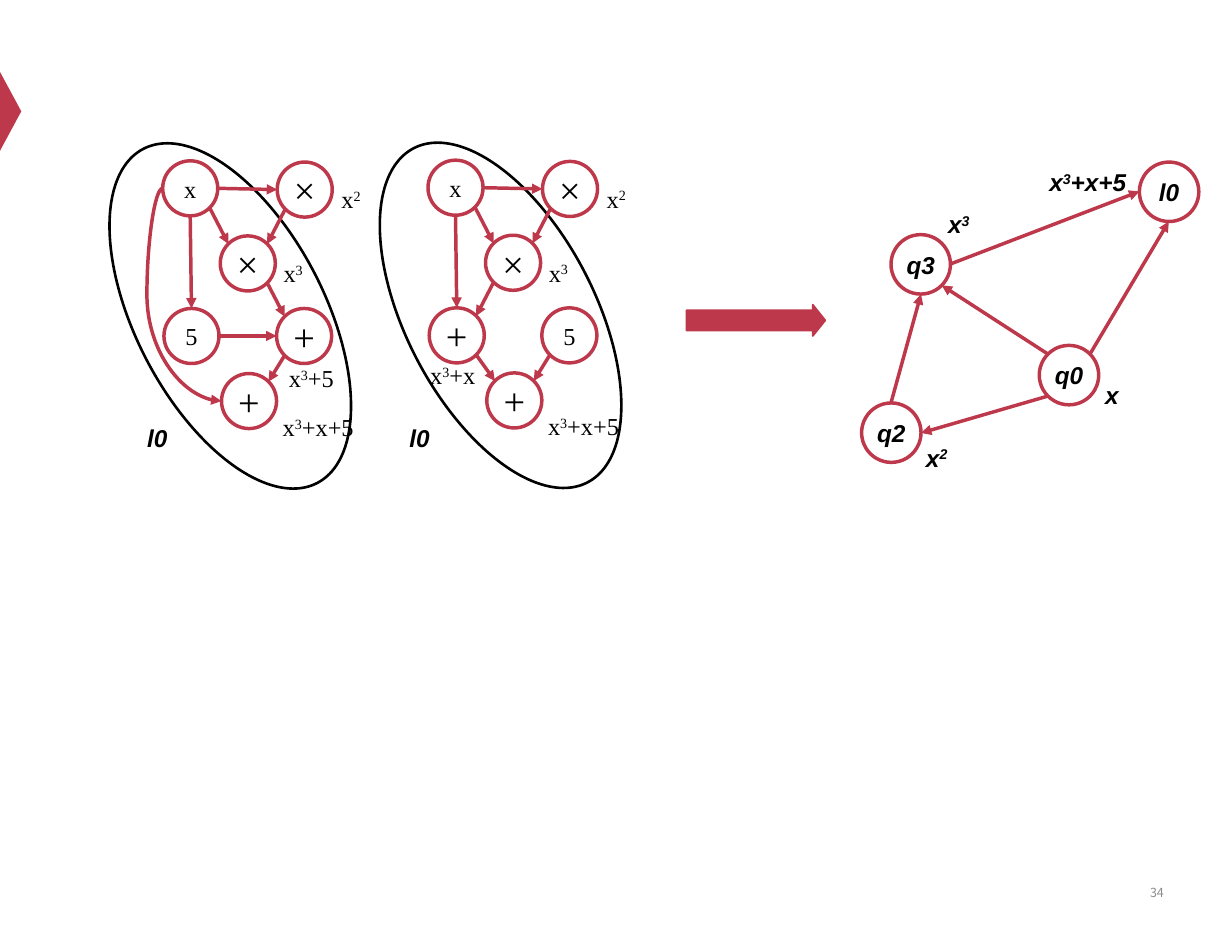
"""Draw two expression graphs and the graph of quantities they reduce to."""
from dataclasses import dataclass
from math import cos, radians, sin
from typing import NamedTuple

from lxml import etree
from pptx import Presentation
from pptx.dml.color import RGBColor
from pptx.enum.shapes import MSO_CONNECTOR, MSO_SHAPE
from pptx.enum.text import MSO_ANCHOR, PP_ALIGN
from pptx.oxml.ns import qn
from pptx.util import Emu, Pt

PX = 9144
OVAL, WEDGE, ARROW = MSO_SHAPE.OVAL, MSO_SHAPE.ISOSCELES_TRIANGLE, MSO_SHAPE.DOWN_ARROW
LINE, CURVE = MSO_CONNECTOR.STRAIGHT, MSO_CONNECTOR.CURVE
MID, TOP = MSO_ANCHOR.MIDDLE, MSO_ANCHOR.TOP
CENTER, RIGHT = PP_ALIGN.CENTER, PP_ALIGN.RIGHT
E, SE, S, SW, W, NW, N, NE = range(0, 360, 45)


class Type(NamedTuple):
    face: str
    size: float
    color: RGBColor
    strong: bool = False


@dataclass(frozen=True)
class Theme:
    red: RGBColor = RGBColor(0xBE, 0x38, 0x4B)
    black: RGBColor = RGBColor(0, 0, 0)
    white: RGBColor = RGBColor(255, 255, 255)
    gray: RGBColor = RGBColor(0x8C, 0x8C, 0x8C)
    thin: float = 2
    rim: float = 3
    thick: float = 4

    @property
    def serif(self) -> Type:
        return Type("Times New Roman", 28, self.black)

    @property
    def sign(self) -> Type:
        return self.serif._replace(size=44)

    @property
    def bold(self) -> Type:
        return Type("Arial", 28, self.black, True)

    @property
    def page(self) -> Type:
        return Type("Noto Sans CJK SC", 14.4, self.gray)


THEME = Theme()


class Box(NamedTuple):
    x: int
    y: int
    w: int
    h: int


class Node(NamedTuple):
    x: int
    y: int
    text: str


class Edge(NamedTuple):
    start: str
    out: int
    end: str
    into: int


class Label(NamedTuple):
    x: int
    y: int
    w: int
    text: str


@dataclass(frozen=True)
class Graph:
    x: int
    y: int
    ring: int
    style: Type
    nodes: dict[str, Node]
    edges: list[Edge]
    labels: list[Label]

    def site(self, name: str, angle: int) -> tuple[int, int]:
        node, half = self.nodes[name], self.ring / 2
        return (round(self.x + node.x + half + half * cos(radians(angle))),
                round(self.y + node.y + half + half * sin(radians(angle))))


SPOTS = {"a": (0, 0), "b": (183, 2), "c": (92, 120),
         "d": (2, 236), "e": (182, 236), "f": (94, 340)}
SHARED = [Edge("a", E, "b", W), Edge("b", SW, "c", NE), Edge("a", SE, "c", NW),
          Edge("a", S, "d", N), Edge("e", SW, "f", NE)]
POWERS = [Label(254, 33, 94, "x|2"), Label(165, 151, 87, "x|3"),
          Label(163, 397, 171, "x|3|+x+5")]


def tree(x: int, y: int, signs: str, edges: list[Edge], label: Label) -> Graph:
    nodes = {name: Node(*spot, sign) for (name, spot), sign in zip(SPOTS.items(), signs)}
    return Graph(x, y, 88, THEME.serif, nodes, SHARED + edges, POWERS + [label])


FIRST = tree(260, 257, "x××5++", [Edge("c", SE, "e", NW), Edge("d", E, "e", W)],
             Label(174, 319, 127, "x|3|+5"))
SECOND = tree(684, 256, "x××+5+", [Edge("c", SW, "d", NE), Edge("d", SE, "f", NW)],
              Label(-24, 315, 127, "x|3|+x"))
RESULT = Graph(
    0, 0, 95, THEME.bold,
    {"l0": Node(1821, 259, "l0"), "q3": Node(1424, 375, "q3"),
     "q2": Node(1377, 644, "q2"), "q0": Node(1661, 552, "q0")},
    [Edge("q2", N, "q3", S), Edge("q0", NW, "q3", SE), Edge("q0", SW, "q2", E),
     Edge("q3", E, "l0", W), Edge("q0", NE, "l0", S)],
    [Label(1730, 602, 94, "x"), Label(1450, 703, 94, "x|2"),
     Label(1489, 330, 87, "x|3"), Label(1653, 262, 171, "x|3|+x+5")])


def write(shape, text: str, style: Type, align=CENTER, anchor=MID) -> None:
    """Write text whose parts between bars are raised."""
    frame = shape.text_frame
    frame.word_wrap = True
    frame.vertical_anchor = anchor
    para = frame.paragraphs[0]
    para.alignment = align
    font = para.font
    font.name, font.size = style.face, Pt(style.size)
    font.bold = font.italic = style.strong
    font.color.rgb = style.color
    for i, part in enumerate(text.split("|")):
        run = para.add_run()
        run.text = part
        if i % 2:
            run._r.get_or_add_rPr().set("baseline", "30000")


def draw(slide, kind, box: Box, fill=None, line=None, width: float = 0, turn: float = 0):
    shape = slide.shapes.add_shape(kind, *(Emu(n * PX) for n in box))
    shape.shadow.inherit = False
    shape.rotation = turn
    if fill is None:
        shape.fill.background()
    else:
        shape.fill.solid()
        shape.fill.fore_color.rgb = fill
    if line is None:
        shape.line.fill.background()
    else:
        shape.line.color.rgb = line
        shape.line.width = Pt(width)
    return shape


def note(slide, box: Box, text: str, style: Type, align=CENTER, anchor=TOP) -> None:
    write(slide.shapes.add_textbox(*(Emu(n * PX) for n in box)), text, style, align, anchor)


def link(slide, start: tuple[int, int], end: tuple[int, int], kind=LINE):
    line = slide.shapes.add_connector(kind, *(Emu(n * PX) for n in start + end))
    line.line.color.rgb = THEME.red
    line.line.width = Pt(THEME.thick)
    etree.SubElement(line.get_or_add_ln(), qn("a:tailEnd"), type="triangle")
    etree.SubElement(line._element.spPr, qn("a:effectLst"))
    return line


def bend(slide, graph: Graph, edge: Edge, adjust: int) -> None:
    line = link(slide, graph.site(edge.start, edge.out), graph.site(edge.end, edge.into), CURVE)
    guides = line._element.spPr.find(qn("a:prstGeom")).get_or_add_avLst()
    etree.SubElement(guides, qn("a:gd"), name="adj1", fmla=f"val {adjust}")


def plot(slide, graph: Graph) -> None:
    for edge in graph.edges:
        link(slide, graph.site(edge.start, edge.out), graph.site(edge.end, edge.into))
    for tag in graph.labels:
        note(slide, Box(graph.x + tag.x, graph.y + tag.y, tag.w, 57), tag.text, graph.style)
    for node in graph.nodes.values():
        box = Box(graph.x + node.x, graph.y + node.y, graph.ring, graph.ring)
        ring = draw(slide, OVAL, box, line=THEME.red, width=THEME.thick)
        frame = ring.text_frame
        frame.margin_left = frame.margin_right = 0
        write(ring, node.text, THEME.sign if node.text in "×+" else graph.style)


def main() -> None:
    deck = Presentation()
    deck.slide_width, deck.slide_height = Emu(1969 * PX), Emu(1496 * PX)
    slide = deck.slides.add_slide(deck.slide_layouts[6])
    draw(slide, WEDGE, Box(-46, 161, 126, 34), THEME.red, turn=90)
    for x, y in ((649, 203), (217, 204)):
        draw(slide, OVAL, Box(x, y, 302, 602), THEME.white, THEME.black, THEME.rim, 332.5)
    note(slide, Box(1411, 1387, 459, 80), "34", THEME.page, RIGHT, MID)
    for graph in (RESULT, SECOND, FIRST):
        plot(slide, graph)
    bend(slide, FIRST, Edge("a", W, "f", W), -26800)
    for x, y in ((204, 652), (623, 653)):
        name = draw(slide, OVAL, Box(x, y, 95, 95), THEME.white, THEME.white, THEME.thin)
        write(name, "l0", THEME.bold)
    arrow = draw(slide, ARROW, Box(1183, 401, 50, 222), THEME.red, THEME.red, THEME.thin, 270)
    arrow.adjustments[0], arrow.adjustments[1] = 0.64, 0.4
    deck.save("out.pptx")


if __name__ == "__main__":
    main()
